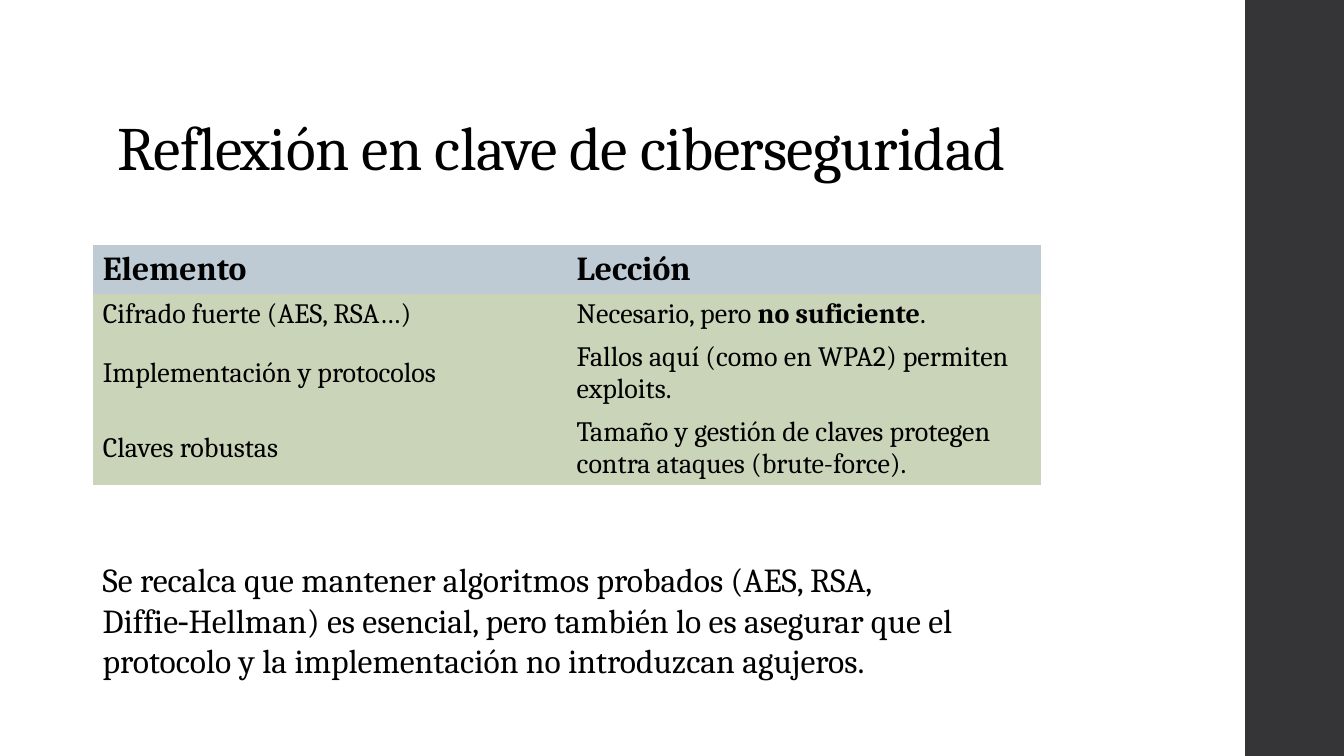
from dataclasses import dataclass

from pptx import Presentation
from pptx.dml.color import RGBColor
from pptx.enum.shapes import MSO_SHAPE as Shape
from pptx.enum.text import MSO_ANCHOR as Anchor, MSO_AUTO_SIZE as AutoSize, PP_ALIGN as Align
from pptx.oxml.ns import qn
from pptx.slide import Slide
from pptx.util import Inches, Pt

COLORS = {"bar": "353537", "text": "000000", "header": "BECBD5", "body": "CAD4B8"}
FONT = "Cambria"
NO_STYLE = "{2D5ABB26-0587-4C30-8999-92F81FD0307C}"
TITLE = "Reflexión en clave de ciberseguridad"
CONCLUSION = (
    "Se recalca que mantener algoritmos probados (AES, RSA, Diffie‑Hellman) es esencial, "
    "pero también lo es asegurar que el protocolo y la implementación no introduzcan agujeros."
)


@dataclass(frozen=True)
class Row:
    element: str
    lesson: str
    height: float
    size: int = 20
    fill: str = "body"
    bold: bool = False


ROWS = [
    Row("Elemento", "Lección", 0.43, 24, "header", True),
    Row("Cifrado fuerte (AES, RSA…)", "Necesario, pero **no suficiente**.", 0.4),
    Row("Implementación y protocolos", "Fallos aquí (como en WPA2) permiten exploits.", 0.7),
    Row("Claves robustas", "Tamaño y gestión de claves protegen contra ataques (brute-force).", 0.7),
]


def rgb(name: str) -> RGBColor:
    return RGBColor.from_string(COLORS[name])


def write(tf, text: str, size: int, bold: bool = False) -> None:
    """Fill a text frame; parts between ** marks are bold."""
    p = tf.paragraphs[0]
    p.alignment = Align.LEFT
    for i, part in enumerate(text.split("**")):
        r = p.add_run()
        r.text = part
        r.font.name = FONT
        r.font.size = Pt(size)
        r.font.bold = bold or i % 2 == 1
        r.font.color.rgb = rgb("text")


def place(sp, left: float, top: float, width: float, height: float) -> None:
    sp.left, sp.top = Inches(left), Inches(top)
    sp.width, sp.height = Inches(width), Inches(height)


def add_side_bar(slide: Slide) -> None:
    sp = slide.shapes.add_shape(Shape.RECTANGLE, Inches(12.35), 0, Inches(0.98), Inches(7.5))
    sp.shadow.inherit = False
    sp.fill.solid()
    sp.fill.fore_color.rgb = rgb("bar")
    sp.line.fill.background()


def set_title(slide: Slide) -> None:
    sp = slide.shapes.title
    place(sp, 1.07, 0.42, 10.6, 1.45)
    tf = sp.text_frame
    tf.word_wrap = True
    tf.auto_size = AutoSize.NONE
    tf.vertical_anchor = Anchor.BOTTOM
    write(tf, TITLE, 44)
    p = tf.paragraphs[0]
    p.line_spacing = 0.9
    p.runs[0].font._element.set("spc", "-50")


def add_lessons(slide: Slide) -> None:
    frame = slide.shapes.add_table(
        len(ROWS), 2, Inches(0.92), Inches(2.43), Inches(9.4),
        Inches(sum(row.height for row in ROWS)),
    )
    table = frame.table
    table._tbl.tblPr.find(qn("a:tableStyleId")).text = NO_STYLE
    table.horz_banding = False
    for i, row in enumerate(ROWS):
        table.rows[i].height = Inches(row.height)
        for j, text in enumerate((row.element, row.lesson)):
            cell = table.cell(i, j)
            cell.fill.solid()
            cell.fill.fore_color.rgb = rgb(row.fill)
            cell.vertical_anchor = Anchor.MIDDLE
            write(cell.text_frame, text, row.size, row.bold)


def add_conclusion(slide: Slide) -> None:
    sp = slide.shapes.add_textbox(Inches(0.92), Inches(5.5), Inches(9.76), Inches(1.31))
    tf = sp.text_frame
    tf.word_wrap = True
    tf.auto_size = AutoSize.SHAPE_TO_FIT_TEXT
    write(tf, CONCLUSION, 24)


def main() -> None:
    prs = Presentation()
    prs.slide_width, prs.slide_height = Inches(13.33), Inches(7.5)
    slide = prs.slides.add_slide(prs.slide_layouts[5])
    add_side_bar(slide)
    set_title(slide)
    add_lessons(slide)
    add_conclusion(slide)
    prs.save("out.pptx")


if __name__ == "__main__":
    main()
